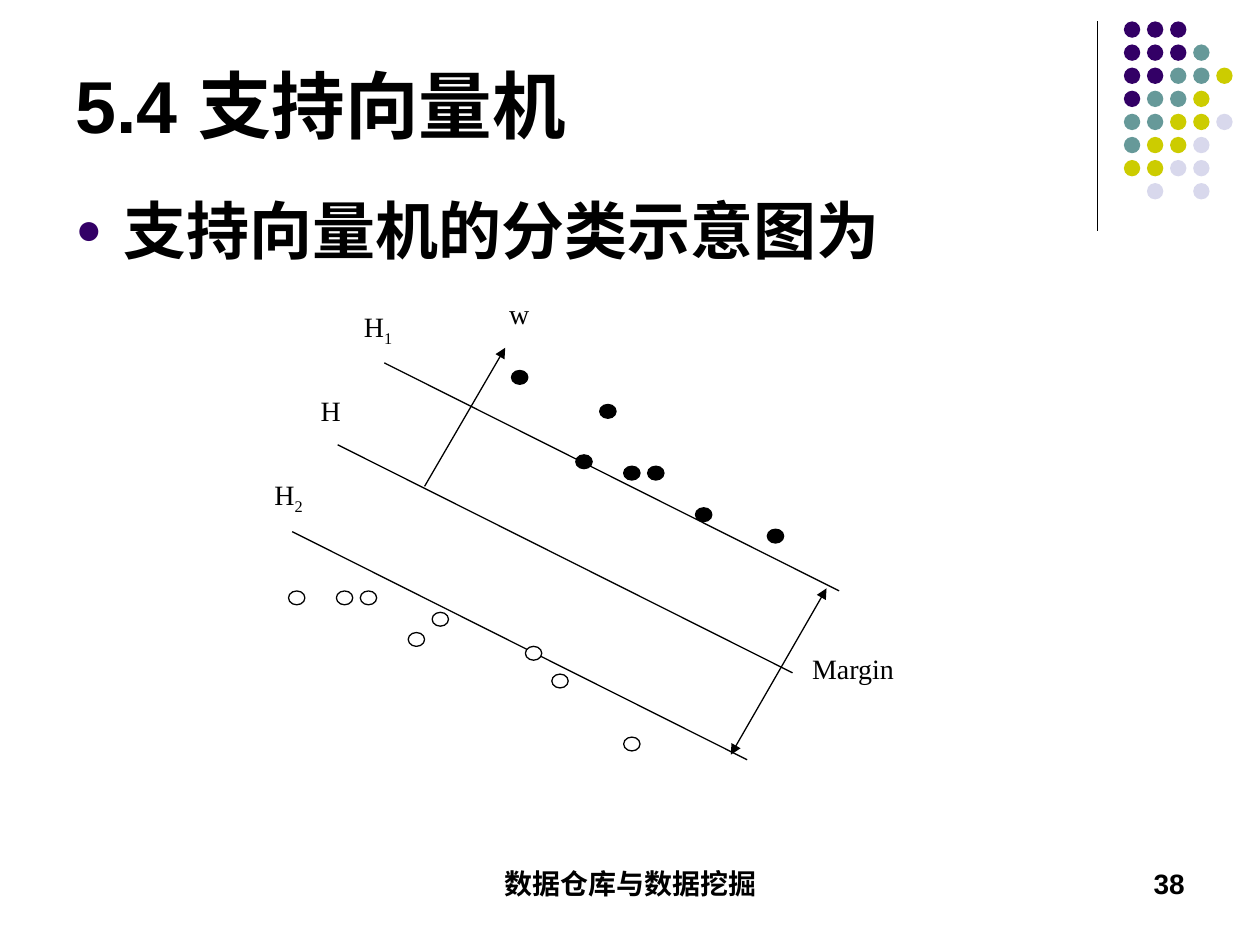
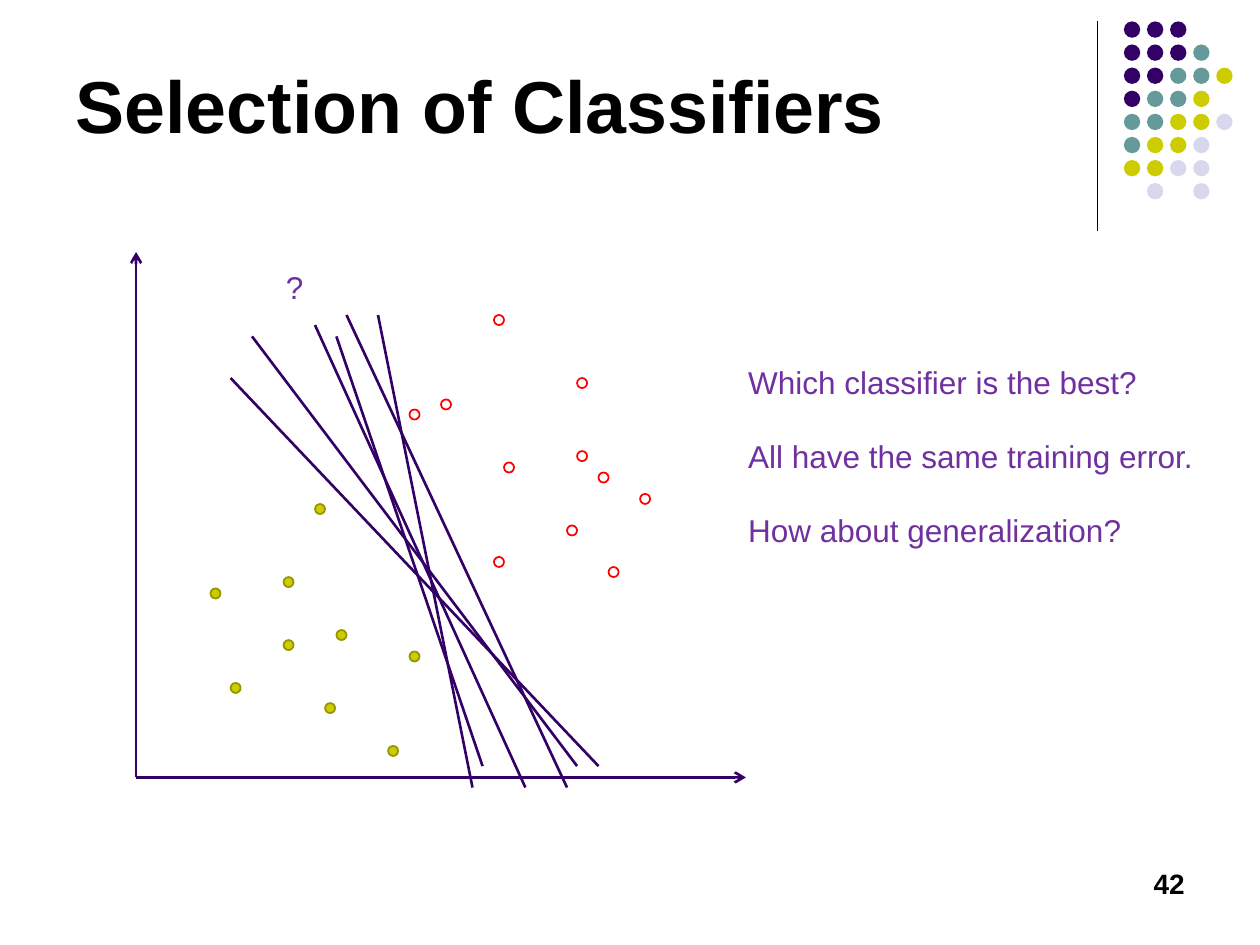
"""Build two slides about support vector machines and choosing a classifier."""
from dataclasses import dataclass

from lxml.etree import SubElement
from pptx import Presentation
from pptx.dml.color import RGBColor
from pptx.enum.shapes import MSO_CONNECTOR, MSO_SHAPE
from pptx.enum.text import MSO_ANCHOR, MSO_AUTO_SIZE, PP_ALIGN
from pptx.oxml.ns import qn
from pptx.util import Inches, Pt


@dataclass(frozen=True)
class Theme:
    black: str = "000000"
    white: str = "FFFFFF"
    plum: str = "330066"
    teal: str = "669999"
    lime: str = "CCCC00"
    olive: str = "959500"
    pale: str = "D8D8EC"
    red: str = "FF0000"
    violet: str = "7030A0"
    sans: str = "Arial"
    serif: str = "Times New Roman"
    title: int = 42
    lead: int = 36
    note: int = 18
    small: int = 16
    thin: float = 0.75
    ring: float = 1
    bold: float = 1.5


DOT_ROWS = ("PPP", "PPPT", "PPTTY", "PTTY", "TTYYL", "TYYL", "YYLL", " L L")
DOT_STEP = 0.55 / 3


class Deck:
    def __init__(self, theme):
        self.theme = theme
        self.prs = Presentation()
        self.prs.slide_width = Inches(10)
        self.prs.slide_height = Inches(7.5)
        self.slide = None

    def start(self, layout, title, page):
        look = self.theme
        self.slide = self.prs.slides.add_slide(self.prs.slide_layouts[layout])
        self.line((8.71, 0.17), (8.71, 1.83), look.black, look.thin)
        hues = {"P": look.plum, "T": look.teal, "Y": look.lime, "L": look.pale}
        for row, keys in enumerate(DOT_ROWS):
            for col, key in enumerate(keys):
                if key in hues:
                    spot = (8.92 + col * DOT_STEP, 0.17 + row * DOT_STEP)
                    self.dots([spot], (0.13, 0.13), hues[key])
        head = self.slide.shapes.title
        self.place(head, 0.5, 0.13, 8.25, 1.1)
        frame = head.text_frame
        frame.vertical_anchor = MSO_ANCHOR.BOTTOM
        frame.auto_size = MSO_AUTO_SIZE.NONE
        para = frame.paragraphs[0]
        para.alignment = PP_ALIGN.LEFT
        self.run(para, title, look.title, bold=True)
        self.foot(page, 7.17, 2.33, PP_ALIGN.RIGHT)

    def place(self, shape, left, top, width, height):
        shape.left, shape.top = Inches(left), Inches(top)
        shape.width, shape.height = Inches(width), Inches(height)

    def run(self, para, text, size, color=None, face=None, bold=False):
        run = para.add_run()
        run.text = text
        font = run.font
        font.size = Pt(size)
        font.name = face or self.theme.sans
        font.bold = bold
        font.color.rgb = RGBColor.from_string(color or self.theme.black)
        return run

    def box(self, left, top, width, height, wrap=True):
        box = self.slide.shapes.add_textbox(
            Inches(left), Inches(top), Inches(width), Inches(height))
        box.text_frame.word_wrap = wrap
        return box

    def foot(self, text, left, width, align):
        para = self.box(left, 6.83, width, 0.5).text_frame.paragraphs[0]
        para.alignment = align
        self.run(para, text, self.theme.small, bold=True)

    def bullet(self, text):
        look = self.theme
        body = self.slide.placeholders[1]
        self.place(body, 0.5, 1.47, 9, 4.89)
        body.text_frame.auto_size = MSO_AUTO_SIZE.NONE
        para = body.text_frame.paragraphs[0]
        props = para._p.get_or_add_pPr()
        props.set("marL", str(Inches(0.38)))
        props.set("indent", str(-Inches(0.38)))
        tint = SubElement(props, qn("a:buClr"))
        SubElement(tint, qn("a:srgbClr"), val=look.plum)
        SubElement(props, qn("a:buSzPct"), val="70000")
        SubElement(props, qn("a:buFont"), typeface=look.sans)
        SubElement(props, qn("a:buChar"), char="●")
        para.space_before = Pt(0)
        self.run(para, text, look.lead, bold=True)

    def label(self, text, left, top, width, height=0.49, sub="", fill=None):
        look = self.theme
        box = self.box(left, top, width, height)
        if fill:
            box.fill.solid()
            box.fill.fore_color.rgb = RGBColor.from_string(fill)
        frame = box.text_frame
        frame.margin_left = frame.margin_right = 0
        frame.margin_top = frame.margin_bottom = 0
        para = frame.paragraphs[0]
        para.alignment = PP_ALIGN.CENTER
        self.run(para, text, look.small, face=look.serif)
        if sub:
            low = self.run(para, sub, look.small, face=look.serif)
            low._r.get_or_add_rPr().set("baseline", "-25000")

    def notes(self, texts, left, top, width, height):
        look = self.theme
        frame = self.box(left, top, width, height, wrap=False).text_frame
        frame.auto_size = MSO_AUTO_SIZE.SHAPE_TO_FIT_TEXT
        for rank, text in enumerate(texts):
            para = frame.add_paragraph() if rank else frame.paragraphs[0]
            if rank:
                para.space_before = Pt(20.7)
            self.run(para, text, look.note, look.violet)

    def dots(self, spots, size, fill=None, edge=None, weight=1):
        for left, top in spots:
            dot = self.slide.shapes.add_shape(
                MSO_SHAPE.OVAL, Inches(left), Inches(top), *map(Inches, size))
            dot.shadow.inherit = False
            if fill:
                dot.fill.solid()
                dot.fill.fore_color.rgb = RGBColor.from_string(fill)
            else:
                dot.fill.background()
            if edge:
                dot.line.color.rgb = RGBColor.from_string(edge)
                dot.line.width = Pt(weight)
            else:
                dot.line.fill.background()

    def line(self, start, end, color, weight, head=None, tail=None):
        line = self.slide.shapes.add_connector(
            MSO_CONNECTOR.STRAIGHT, *map(Inches, (*start, *end)))
        line.line.color.rgb = RGBColor.from_string(color)
        line.line.width = Pt(weight)
        props = line._element.spPr
        stroke = props.find(qn("a:ln"))
        for tag, kind in (("a:headEnd", head), ("a:tailEnd", tail)):
            if kind:
                SubElement(stroke, qn(tag), type=kind)
        SubElement(props, qn("a:effectLst"))


def margin(deck):
    look = deck.theme
    ink = (look.black, look.thin)
    deck.start(1, "5.4 支持向量机", "38")
    deck.foot("数据仓库与数据挖掘", 3.42, 3.17, PP_ALIGN.CENTER)
    deck.bullet("支持向量机的分类示意图为")
    deck.label("Margin", 5.94, 5.17, 1.66, 0.42, fill=look.white)
    deck.label("H", 1.85, 3.79, 0.88, sub="2")
    deck.label("H", 2.65, 2.46, 0.7, sub="1")
    deck.label("H", 2.23, 3.12, 0.79, fill=look.white)
    deck.label("w", 3.53, 2.35, 1.18)
    for left, top in ((2.32, 4.22), (3.05, 2.88), (2.68, 3.53)):
        deck.line((left, top), (left + 3.61, top + 1.81), *ink)
    hollow = ((3.43, 4.86), (2.67, 4.69), (4.17, 5.13), (2.29, 4.69),
              (3.24, 5.02), (2.86, 4.69), (4.38, 5.35), (4.95, 5.85))
    solid = ((4.76, 3.21), (5.52, 4.03), (4.06, 2.94), (5.14, 3.7),
             (4.95, 3.7), (4.57, 3.61), (6.09, 4.2))
    for spots, fill in ((hollow, look.white), (solid, look.black)):
        deck.dots(spots, (0.13, 0.11), fill, *ink)
    deck.line((6.56, 4.67), (5.8, 5.99), *ink, "triangle", "triangle")
    deck.line((3.37, 3.86), (4.01, 2.76), *ink, tail="triangle")


def choice(deck):
    look = deck.theme
    ink = (look.plum, look.bold)
    deck.start(5, "Selection of Classifiers", "42")
    for tip in ((5.92, 6.17), (1.08, 2)):
        deck.line((1.08, 6.17), tip, *ink, tail="arrow")
    lower = ((1.67, 4.67), (2.25, 4.58), (2.25, 5.08), (3.25, 5.17),
             (2.67, 5), (2.58, 5.58), (2.5, 4), (3.08, 5.92), (1.83, 5.42))
    upper = ((3.5, 3.17), (4.58, 3.58), (3.92, 2.5), (4, 3.67),
             (3.92, 4.42), (3.25, 3.25), (4.5, 4.17), (4.58, 3),
             (4.83, 4.5), (5.08, 3.92), (4.75, 3.75))
    deck.dots(lower, (0.08, 0.08), look.lime, look.olive, look.ring)
    deck.dots(upper, (0.08, 0.08), None, look.red, look.ring)
    cuts = (((2, 2.67), (4.58, 6.08)), ((2.5, 2.58), (4.17, 6.25)),
            ((1.83, 3), (4.75, 6.08)), ((2.75, 2.5), (4.5, 6.25)),
            ((2.67, 2.67), (3.83, 6.08)), ((3, 2.5), (3.75, 6.25)))
    for start, end in cuts:
        deck.line(start, end, *ink)
    deck.notes(("Which classifier is the best?",
                "All have the same training error.",
                "How about generalization?"), 5.84, 2.83, 3.74, 1.6)
    deck.notes(("?",), 2.17, 2.08, 0.34, 0.4)


def main():
    deck = Deck(Theme())
    margin(deck)
    choice(deck)
    deck.prs.save("out.pptx")


if __name__ == "__main__":
    main()
